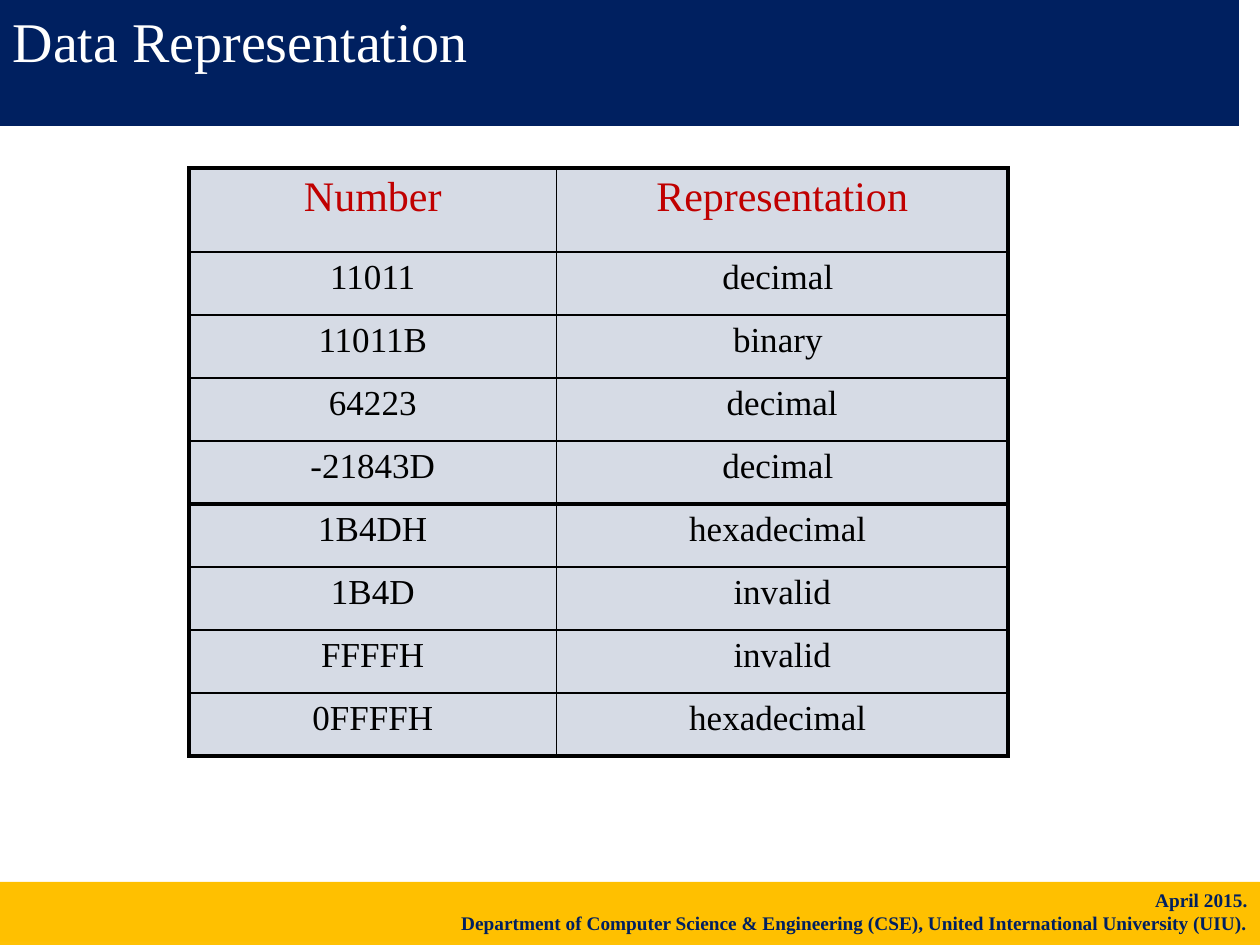
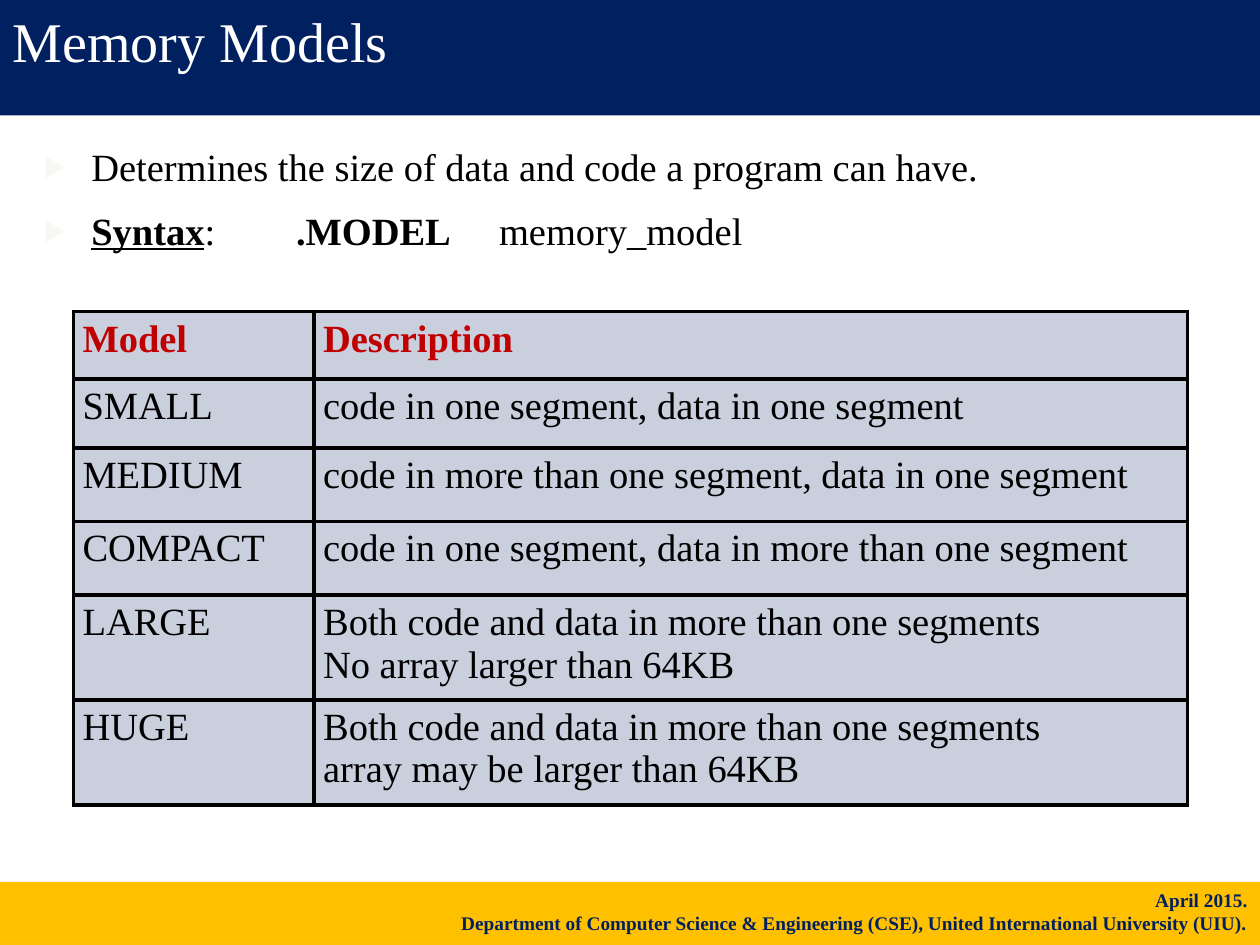
from lxml import etree
from pptx import Presentation
from pptx.dml.color import RGBColor
from pptx.enum.shapes import MSO_SHAPE
from pptx.enum.text import MSO_ANCHOR, MSO_AUTO_SIZE, PP_ALIGN as ALIGN
from pptx.oxml.ns import qn
from pptx.util import Pt

COLORS = {
    "navy": "002060",
    "gold": "FFC000",
    "red": "C00000",
    "black": "000000",
    "white": "FFFFFF",
    "bullet": "F8F7F3",
}
FONT = "Times New Roman"
SLIDE_W, SLIDE_H = 720, 540
FOOTER_H = 36
FOOTER_LINES = [
    "April 2015.",
    "Department of Computer Science & Engineering (CSE), "
    "United International University (UIU).",
]

NUMBER_COLUMNS = [210, 258]
NUMBER_ROWS = [
    ("Number", "Representation"),
    ("11011", "decimal "),
    ("11011B", "binary "),
    ("64223", "decimal"),
    ("-21843D", "decimal "),
]
MORE_NUMBER_ROWS = [
    ("1B4DH", "hexadecimal "),
    ("1B4D", "invalid"),
    ("FFFFH", "invalid"),
    ("0FFFFH", "hexadecimal "),
]

MODEL_COLUMNS = [137.5, 499]
MODEL_ROW_HEIGHTS = [38.5, 39.5, 42, 42, 60, 60]
MODEL_ROWS = [
    ("Model", "Description"),
    ("SMALL", "code in one segment, data in one segment"),
    ("MEDIUM", "code in more than one segment, data in one segment"),
    ("COMPACT", "code in one segment, data in more than one segment"),
    ("LARGE", "Both code and data in more than one segments\nNo array larger than 64KB"),
    ("HUGE", "Both code and data in more than one segments\narray may be larger than 64KB"),
]
MODEL_NOTES = [
    [("Determines the size of data and code a program can have.", {})],
    [
        ("Syntax", {"bold": True, "underline": True}),
        (":\t", {}),
        (".MODEL\t", {"bold": True}),
        ("memory_model", {}),
    ],
]


def rgb(color):
    return RGBColor.from_string(COLORS[color])


def add_text(paragraph, text, size=22, color="black", bold=False, underline=False):
    run = paragraph.add_run()
    run.text = text
    font = run.font
    font.name, font.size = FONT, Pt(size)
    font.bold, font.underline = bold, underline
    font.color.rgb = rgb(color)


def add_lines(frame, lines, align=ALIGN.LEFT, **text_format):
    for index, line in enumerate(lines):
        paragraph = frame.add_paragraph() if index else frame.paragraphs[0]
        paragraph.alignment = align
        add_text(paragraph, line, **text_format)


def fill_solid(part, properties, color, opacity=100):
    """Fill a shape or cell; properties is its XML element that holds the fill."""
    part.fill.solid()
    part.fill.fore_color.rgb = rgb(color)
    if opacity < 100:
        tint = next(properties.iter(qn("a:srgbClr")))
        etree.SubElement(tint, qn("a:alpha"), val=str(opacity * 1000))


def place(shape, left, top, width, height):
    shape.left, shape.top = Pt(left), Pt(top)
    shape.width, shape.height = Pt(width), Pt(height)


def set_title(slide, text, width, height):
    title = slide.shapes.title
    place(title, 0, 0, width, height)
    fill_solid(title, title._element.spPr, "navy")
    frame = title.text_frame
    frame.auto_size = MSO_AUTO_SIZE.NONE
    frame.vertical_anchor = MSO_ANCHOR.TOP
    add_lines(frame, [text], size=32, color="white")


def add_footer(slide):
    footer = slide.shapes.add_group_shape()
    for height in (FOOTER_H, FOOTER_H - 2):
        band = footer.shapes.add_shape(
            MSO_SHAPE.RECTANGLE, 0, Pt(SLIDE_H - FOOTER_H), Pt(SLIDE_W), Pt(height))
        band.shadow.inherit = False
        fill_solid(band, band._element.spPr, "gold", opacity=98)
        band.line.fill.background()
    frame = band.text_frame
    frame.word_wrap = True
    frame.vertical_anchor = MSO_ANCHOR.TOP
    add_lines(frame, FOOTER_LINES, ALIGN.RIGHT, size=11, color="navy", bold=True)


def set_borders(cell, widths):
    """Draw black borders; widths run left, right, top, bottom."""
    properties = cell._tc.get_or_add_tcPr()
    for index, (side, width) in enumerate(zip("LRTB", widths)):
        border = etree.Element(qn(f"a:ln{side}"), w=str(Pt(width)))
        solid = etree.SubElement(border, qn("a:solidFill"))
        etree.SubElement(solid, qn("a:srgbClr"), val=COLORS["black"])
        properties.insert(index, border)


def add_grid(slide, left, top, columns, heights, rows, opacity, inner,
             outer=2.25, align=ALIGN.LEFT, header=None, **body):
    """Add a bordered table; header holds the first row's text format, if it differs."""
    grid = slide.shapes.add_table(
        len(rows), len(columns), Pt(left), Pt(top),
        Pt(sum(columns)), Pt(sum(heights))).table
    grid.first_row = grid.horz_banding = False
    for column, width in zip(grid.columns, columns):
        column.width = Pt(width)
    for r, (texts, height) in enumerate(zip(rows, heights)):
        grid.rows[r].height = Pt(height)
        for c, text in enumerate(texts):
            cell = grid.cell(r, c)
            cell.margin_left = cell.margin_right = Pt(5.2)
            cell.margin_top = cell.margin_bottom = Pt(3.6)
            text_format = header if header and r == 0 else body
            add_lines(cell.text_frame, text.split("\n"), align, **text_format)
            fill_solid(cell, cell._tc.get_or_add_tcPr(), "navy", opacity)
            on_edge = (c == 0, c == len(columns) - 1, r == 0, r == len(rows) - 1)
            set_borders(cell, [outer if edge else inner for edge in on_edge])


def add_bullet(paragraph, indent, tab_stops):
    properties = paragraph._p.get_or_add_pPr()
    properties.set("marL", str(Pt(indent)))
    properties.set("indent", str(Pt(-indent)))
    tint = etree.SubElement(properties, qn("a:buClr"))
    etree.SubElement(tint, qn("a:srgbClr"), val=COLORS["bullet"])
    etree.SubElement(properties, qn("a:buSzPct"), val="80000")
    etree.SubElement(properties, qn("a:buChar"), char="▶")
    tabs = etree.SubElement(properties, qn("a:tabLst"))
    for stop in tab_stops:
        etree.SubElement(tabs, qn("a:tab"), pos=str(Pt(stop)), algn="l")


def set_notes_list(slide, notes, left, top, width, height):
    body = slide.placeholders[1]
    place(body, left, top, width, height)
    frame = body.text_frame
    frame.auto_size = MSO_AUTO_SIZE.NONE
    for index, runs in enumerate(notes):
        paragraph = frame.add_paragraph() if index else frame.paragraphs[0]
        add_bullet(paragraph, indent=27, tab_stops=(144, 260))
        paragraph.alignment = ALIGN.JUSTIFY
        paragraph.space_before = Pt(10 if index else 0)
        for text, text_format in runs:
            add_text(paragraph, text, **text_format)


def build_data_representation(deck):
    slide = deck.slides.add_slide(deck.slide_layouts[5])
    set_title(slide, "Data Representation", 708, 72)
    left, top = 108, 96
    heights = [48] + [36] * 4
    look = {"opacity": 16, "inner": 1, "align": ALIGN.CENTER, "size": 20}
    add_grid(slide, left, top, NUMBER_COLUMNS, heights, NUMBER_ROWS,
             header={"size": 24, "color": "red"}, **look)
    add_grid(slide, left, top + sum(heights), NUMBER_COLUMNS, [36] * 4,
             MORE_NUMBER_ROWS, **look)
    add_footer(slide)


def build_memory_models(deck):
    slide = deck.slides.add_slide(deck.slide_layouts[1])
    set_title(slide, "Memory Models", SLIDE_W, 66)
    set_notes_list(slide, MODEL_NOTES, 18, 78, 645, 96)
    add_grid(slide, 42, 178, MODEL_COLUMNS, MODEL_ROW_HEIGHTS, MODEL_ROWS,
             opacity=21, inner=2.25, header={"color": "red", "bold": True})
    add_footer(slide)


def main():
    deck = Presentation()
    deck.slide_width, deck.slide_height = Pt(SLIDE_W), Pt(SLIDE_H)
    build_data_representation(deck)
    build_memory_models(deck)
    deck.save("out.pptx")


if __name__ == "__main__":
    main()
